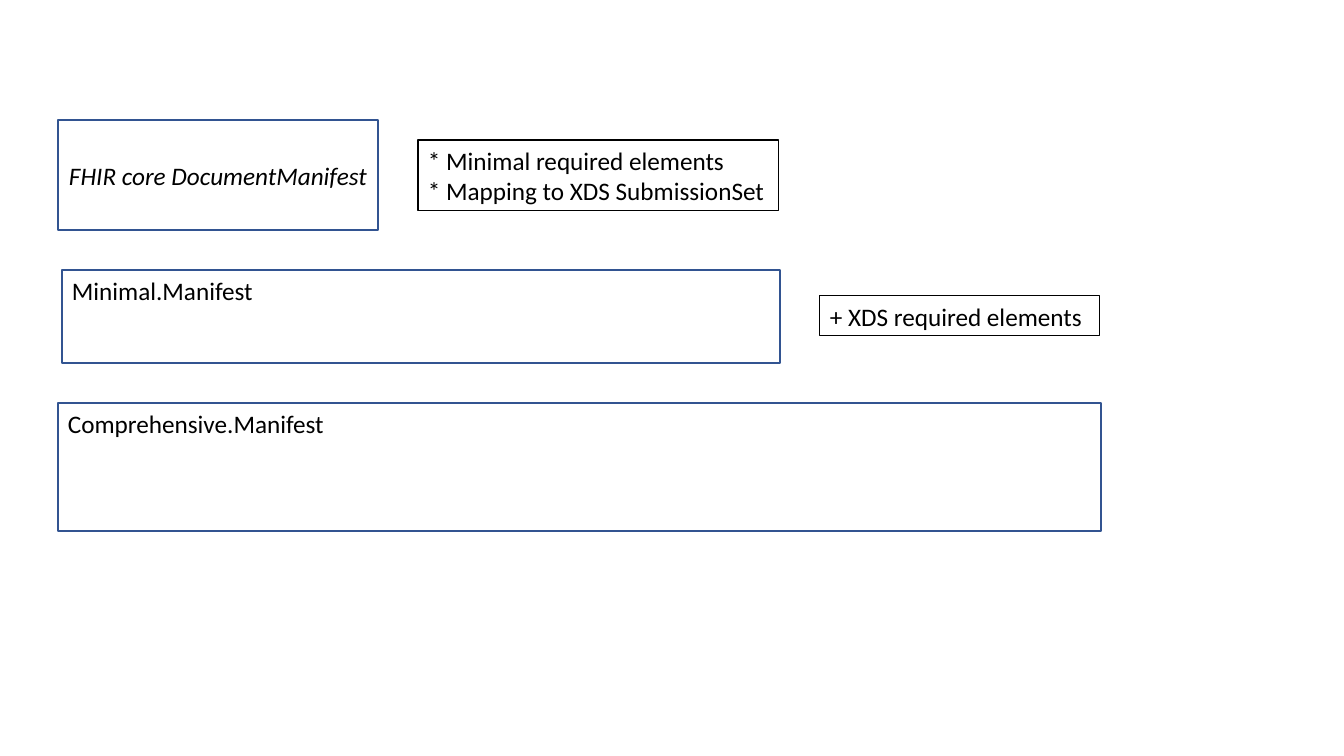
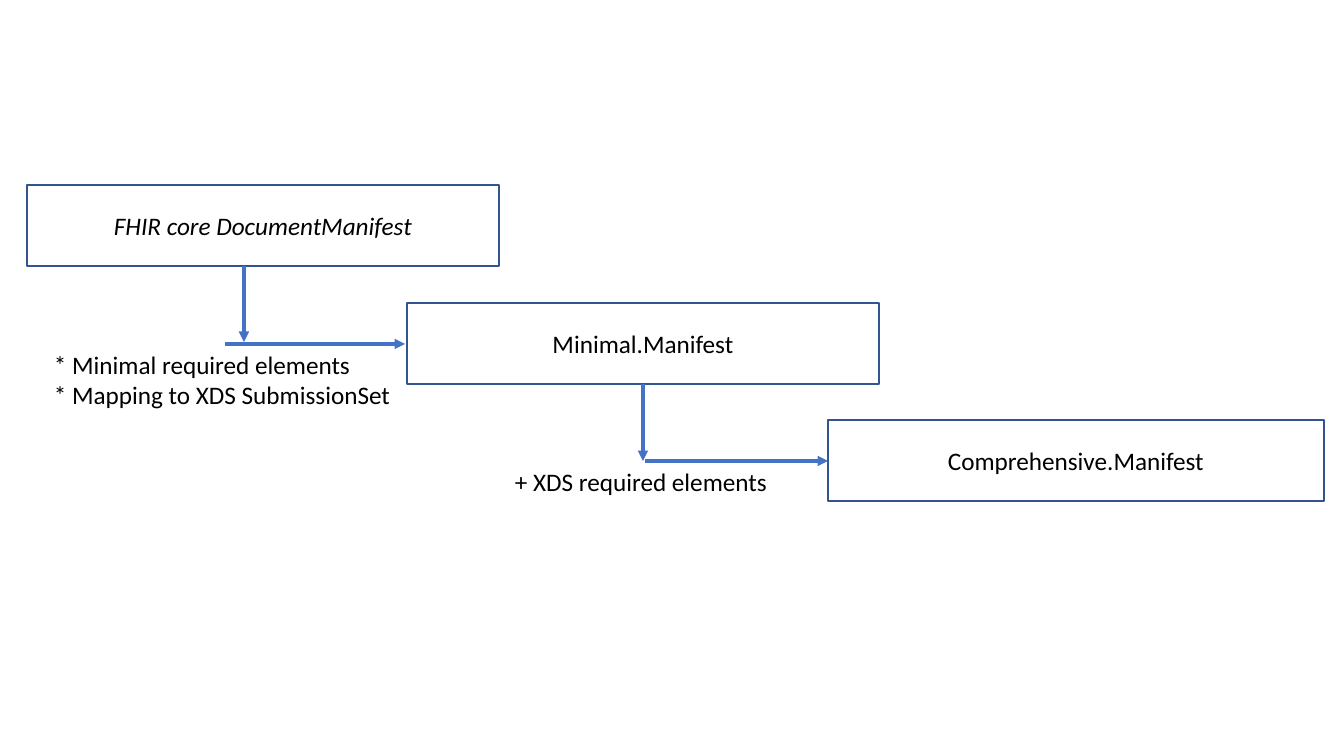
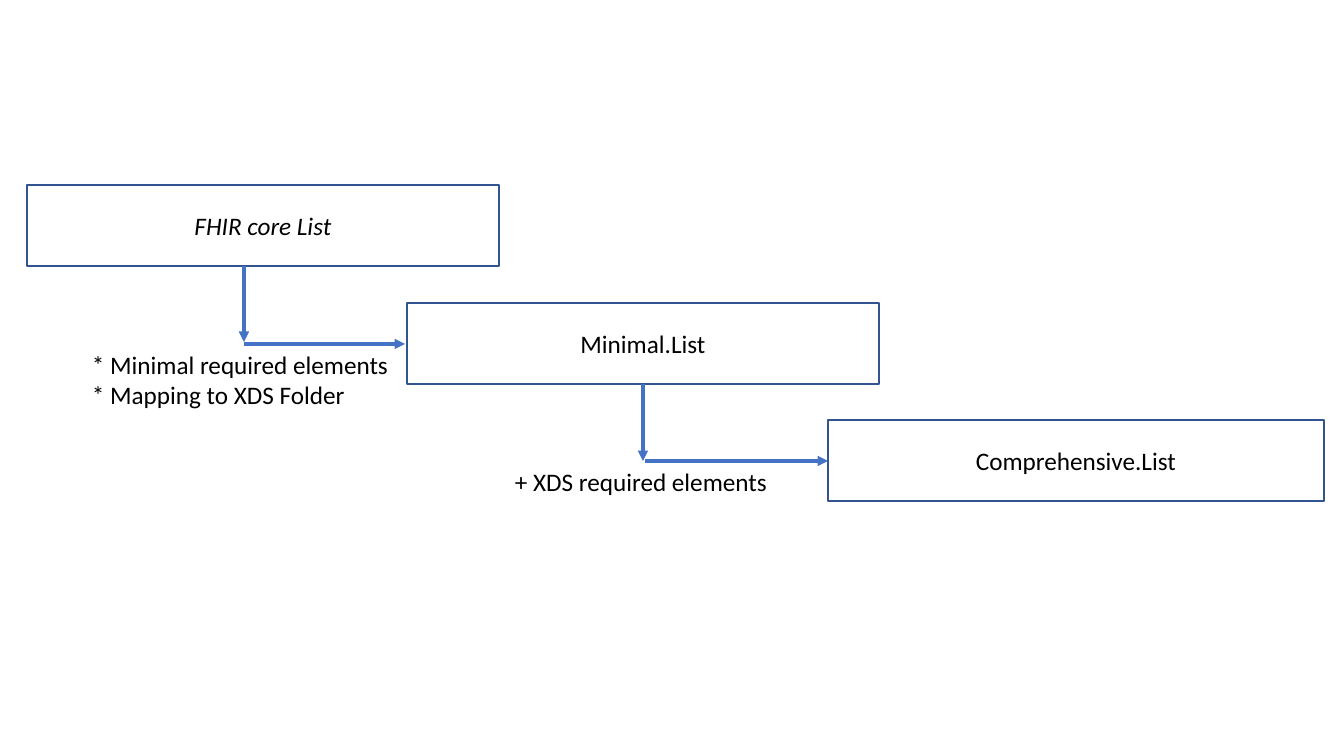
from dataclasses import dataclass
from lxml.etree import SubElement
from pptx import Presentation
from pptx.dml.color import RGBColor
from pptx.enum.shapes import MSO_CONNECTOR, MSO_SHAPE
from pptx.enum.text import MSO_ANCHOR, MSO_AUTO_SIZE, PP_ALIGN
from pptx.oxml.ns import qn
from pptx.util import Emu, Pt


@dataclass(frozen=True)
class Theme:
    font: str = "Calibri"
    size: float = 18
    ink: str = "000000"
    edge: str = "325491"
    arrow: str = "4472C4"
    thin: float = 0.75
    rule: float = 1
    bold: float = 2.5


THEME = Theme()
SCALE = 914400 / 100.8
NEEDS = "* Minimal required elements"
EXTRA = "+ XDS required elements"


def px(*values):
    return [Emu(round(value * SCALE)) for value in values]


def stroke(line, color, width):
    line.color.rgb = RGBColor.from_string(color)
    line.width = Pt(width)


def write(frame, text, align=PP_ALIGN.LEFT, italic=False):
    frame.text = text
    for para in frame.paragraphs:
        para.alignment = align
        for run in para.runs:
            run.font.name = THEME.font
            run.font.size = Pt(THEME.size)
            run.font.color.rgb = RGBColor.from_string(THEME.ink)
            run.font.italic = italic


def box(slide, area, text, mid=True, italic=False):
    shape = slide.shapes.add_shape(MSO_SHAPE.RECTANGLE, *px(*area))
    shape.shadow.inherit = False
    shape.fill.background()
    stroke(shape.line, THEME.edge, THEME.rule)
    frame = shape.text_frame
    frame.word_wrap = not mid
    frame.vertical_anchor = MSO_ANCHOR.MIDDLE if mid else MSO_ANCHOR.TOP
    write(frame, text, PP_ALIGN.CENTER if mid else PP_ALIGN.LEFT, italic)


def note(slide, area, text, framed=False):
    shape = slide.shapes.add_textbox(*px(*area))
    if framed:
        stroke(shape.line, THEME.ink, THEME.thin)
    frame = shape.text_frame
    frame.word_wrap = True
    frame.auto_size = MSO_AUTO_SIZE.SHAPE_TO_FIT_TEXT
    write(frame, text)


def arrow(slide, *ends):
    link = slide.shapes.add_connector(MSO_CONNECTOR.STRAIGHT, *px(*ends))
    stroke(link.line, THEME.arrow, THEME.bold)
    SubElement(link.line._get_or_add_ln(), qn("a:tailEnd"), type="triangle")
    SubElement(link._element.spPr, qn("a:effectLst"))


def layers(slide):
    box(slide, (58, 403, 1043, 128), "Comprehensive.Manifest", mid=False)
    box(slide, (62, 270, 718, 93), "Minimal.Manifest", mid=False)
    box(slide, (58, 120, 320, 110), "FHIR core DocumentManifest", italic=True)
    note(slide, (418, 140, 361, 71), f"{NEEDS}\n* Mapping to XDS SubmissionSet", framed=True)
    note(slide, (820, 296, 280, 40), EXTRA, framed=True)


def steps(slide, core, kind, target, left, start):
    box(slide, (828, 420, 496, 81), f"Comprehensive.{kind}")
    box(slide, (407, 303, 472, 81), f"Minimal.{kind}")
    box(slide, (27, 185, 472, 81), f"FHIR core {core}", italic=True)
    note(slide, (505, 461, 280, 40), EXTRA)
    note(slide, (left, 344, 405 - left, 71), f"{NEEDS}\n* Mapping to XDS {target}")
    arrow(slide, 645, 461, 828, 461)
    arrow(slide, 643, 384, 643, 461)
    arrow(slide, start, 344, 405, 344)
    arrow(slide, 244, 266, 244, 342)


def main():
    deck = Presentation()
    deck.slide_width, deck.slide_height = px(1344, 756)
    blank = deck.slide_layouts[6]
    layers(deck.slides.add_slide(blank))
    steps(deck.slides.add_slide(blank), "DocumentManifest", "Manifest", "SubmissionSet", 44, 225)
    steps(deck.slides.add_slide(blank), "List", "List", "Folder", 82, 244)
    deck.save("out.pptx")


main()
